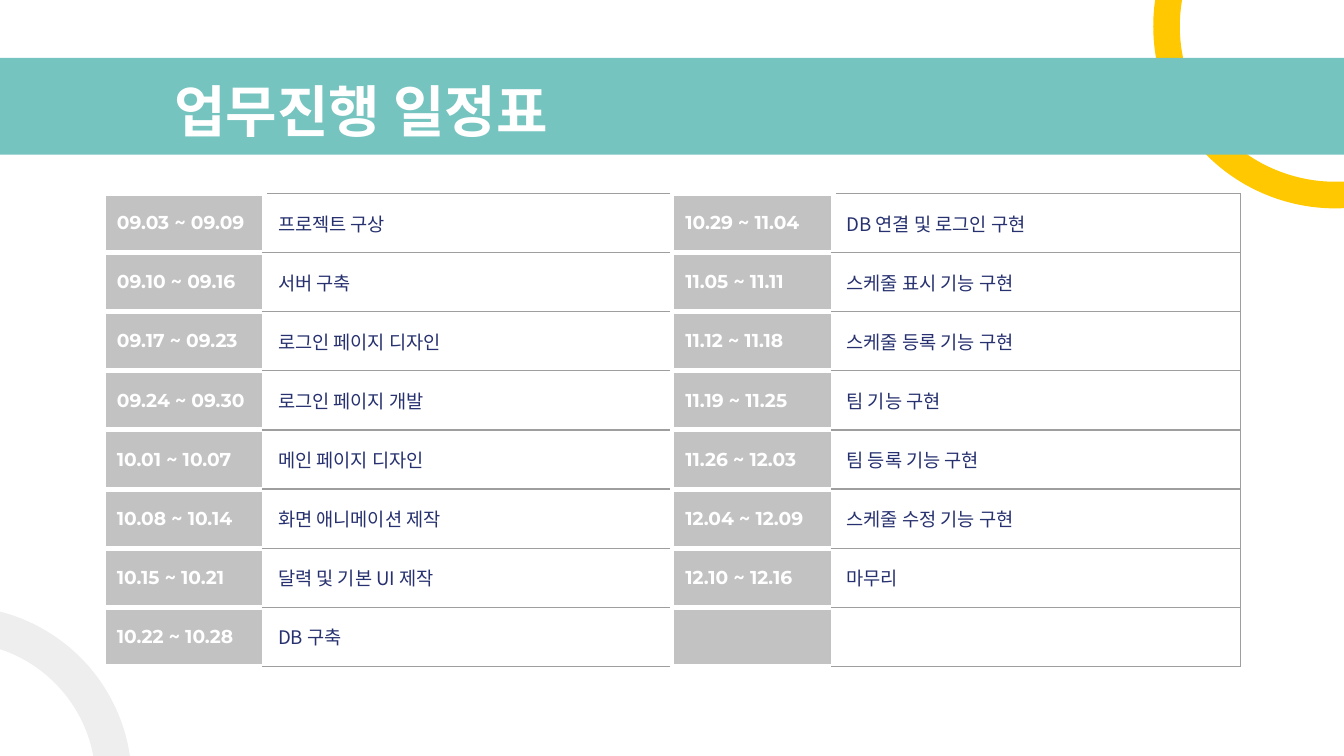
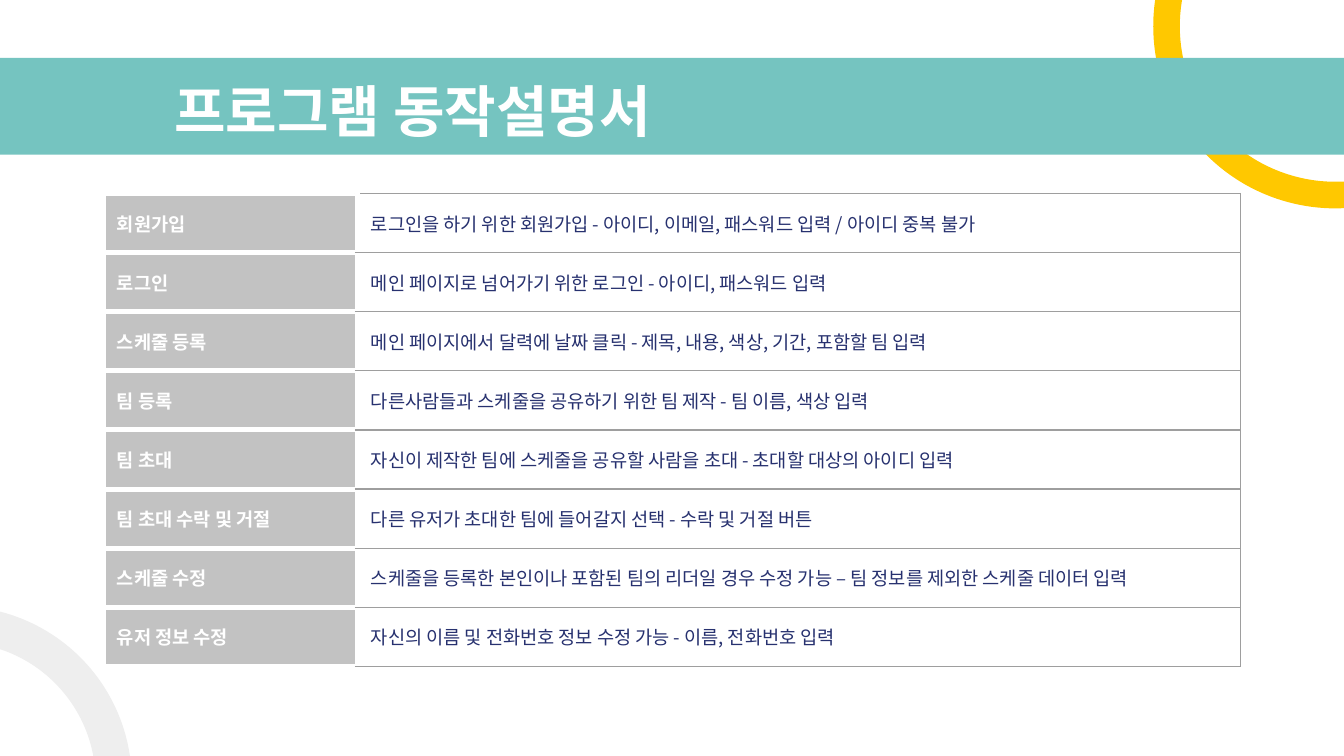
from dataclasses import dataclass

from lxml import etree
from pptx import Presentation
from pptx.dml.color import RGBColor
from pptx.enum.shapes import MSO_SHAPE
from pptx.enum.text import MSO_ANCHOR
from pptx.oxml.ns import qn
from pptx.slide import Slide
from pptx.table import _Cell
from pptx.text.text import _Paragraph
from pptx.util import Inches, Pt

BLOCK_ARC = MSO_SHAPE.BLOCK_ARC
RECTANGLE = MSO_SHAPE.RECTANGLE
TOP = MSO_ANCHOR.TOP
MIDDLE = MSO_ANCHOR.MIDDLE

COLORS = {
    "white": "FFFFFF",
    "yellow": "FFC800",
    "teal": "75C4C0",
    "pale": "EEEEEE",
    "label": "C2C2C2",
    "rule": "9E9E9E",
    "navy": "27316F",
}
KOREAN_FONT = "Noto Sans CJK KR"
DATE_FONT = "Montserrat"
SLIDE_WIDTH = Inches(10)
SLIDE_HEIGHT = SLIDE_WIDTH * 9 // 16
TABLE_TOP = 1.44
ROW_HEIGHT = 0.44
INSET = Inches(0.1)
CELL_SIZE = 10


@dataclass(frozen=True)
class Decoration:
    preset: MSO_SHAPE
    left: float
    top: float
    width: float
    height: float
    color: str
    rotation: float = 0
    adjustments: tuple[float, ...] = ()


@dataclass(frozen=True)
class TextStyle:
    font: str
    size: int
    color: str
    bold: bool = False


@dataclass(frozen=True)
class Border:
    color: str
    width: float


@dataclass(frozen=True)
class TableContent:
    left: float
    column_widths: tuple[float, float]
    label_font: str
    rows: tuple[tuple[str, str], ...]


@dataclass(frozen=True)
class SlideContent:
    title: str
    tables: tuple[TableContent, ...]


DECORATIONS = (
    Decoration(BLOCK_ARC, 8.58, -1.16, 2.71, 2.71, "yellow", 180, (159.041, 7.225, 0.073)),
    Decoration(RECTANGLE, -0.17, 0.43, 10.34, 0.72, "teal"),
    Decoration(BLOCK_ARC, -1.63, 4.51, 2.61, 2.61, "pale", 74.3, (125.821, 166.854, 0.103)),
)
TITLE_STYLE = TextStyle(KOREAN_FONT, 30, "white", True)
VALUE_STYLE = TextStyle(KOREAN_FONT, CELL_SIZE, "navy")
GAP = Border("white", 3)
RULE = Border("rule", 0.75)

SCHEDULE_COLUMNS = (1.2, 3.03)
SLIDES = (
    SlideContent("업무진행 일정표", (
        TableContent(0.77, SCHEDULE_COLUMNS, DATE_FONT, (
            ("09.03 ~ 09.09", "프로젝트 구상"),
            ("09.10 ~ 09.16", "서버 구축"),
            ("09.17 ~ 09.23", "로그인 페이지 디자인"),
            ("09.24 ~ 09.30", "로그인 페이지 개발"),
            ("10.01 ~ 10.07", "메인 페이지 디자인"),
            ("10.08 ~ 10.14", "화면 애니메이션 제작"),
            ("10.15 ~ 10.21", "달력 및 기본 UI 제작"),
            ("10.22 ~ 10.28", "DB 구축"),
        )),
        TableContent(5, SCHEDULE_COLUMNS, DATE_FONT, (
            ("10.29 ~ 11.04", "DB 연결 및 로그인 구현"),
            ("11.05 ~ 11.11", "스케줄 표시 기능 구현"),
            ("11.12 ~ 11.18", "스케줄 등록 기능 구현"),
            ("11.19 ~ 11.25", "팀 기능 구현"),
            ("11.26 ~ 12.03", "팀 등록 기능 구현"),
            ("12.04 ~ 12.09", "스케줄 수정 기능 구현"),
            ("12.10 ~ 12.16", "마무리"),
            ("", ""),
        )),
    )),
    SlideContent("프로그램 동작설명서", (
        TableContent(0.77, (1.89, 6.57), KOREAN_FONT, (
            ("회원가입", "로그인을 하기 위한 회원가입 - 아이디, 이메일, 패스워드 입력 / 아이디 중복 불가"),
            ("로그인", "메인 페이지로 넘어가기 위한 로그인 - 아이디, 패스워드 입력"),
            ("스케줄 등록", "메인 페이지에서 달력에 날짜 클릭 - 제목, 내용, 색상, 기간, 포함할 팀 입력"),
            ("팀 등록", "다른사람들과 스케줄을 공유하기 위한 팀 제작 - 팀 이름, 색상 입력"),
            ("팀 초대", "자신이 제작한 팀에 스케줄을 공유할 사람을 초대 - 초대할 대상의 아이디 입력"),
            ("팀 초대 수락 및 거절", "다른 유저가 초대한 팀에 들어갈지 선택 - 수락 및 거절 버튼"),
            ("스케줄 수정", "스케줄을 등록한 본인이나 포함된 팀의 리더일 경우 수정 가능 – "
                       "팀 정보를 제외한 스케줄 데이터 입력"),
            ("유저 정보 수정", "자신의 이름 및 전화번호 정보 수정 가능 - 이름, 전화번호 입력"),
        )),
    )),
)


def rgb(name: str) -> RGBColor:
    return RGBColor.from_string(COLORS[name])


def add_run(paragraph: _Paragraph, text: str, style: TextStyle) -> None:
    run = paragraph.add_run()
    run.text = text
    run.font.size = Pt(style.size)
    run.font.bold = style.bold
    run.font.color.rgb = rgb(style.color)
    run.font.name = style.font


def add_decoration(slide: Slide, decoration: Decoration) -> None:
    shape = slide.shapes.add_shape(
        decoration.preset,
        Inches(decoration.left), Inches(decoration.top),
        Inches(decoration.width), Inches(decoration.height),
    )
    shape.rotation = decoration.rotation
    for index, value in enumerate(decoration.adjustments):
        shape.adjustments[index] = value
    shape.shadow.inherit = False
    shape.fill.solid()
    shape.fill.fore_color.rgb = rgb(decoration.color)
    shape.line.fill.background()


def add_title(slide: Slide, title: str) -> None:
    box = slide.shapes.add_textbox(Inches(1.2), Inches(0.47), Inches(8.46), Inches(0.63))
    frame = box.text_frame
    frame.word_wrap = True
    frame.vertical_anchor = TOP
    frame.margin_left = frame.margin_right = INSET
    frame.margin_top = frame.margin_bottom = INSET
    add_run(frame.paragraphs[0], title, TITLE_STYLE)


def set_borders(cell: _Cell, left: Border, others: Border) -> None:
    properties = cell._tc.get_or_add_tcPr()
    for side, border in (("L", left), ("R", others), ("T", others), ("B", others)):
        line = etree.SubElement(properties, qn(f"a:ln{side}"), w=str(Pt(border.width)))
        fill = etree.SubElement(line, qn("a:solidFill"))
        etree.SubElement(fill, qn("a:srgbClr"), val=COLORS[border.color])


def fill_cell(cell: _Cell, text: str, style: TextStyle) -> None:
    cell.vertical_anchor = MIDDLE
    cell.margin_left = cell.margin_right = INSET
    cell.margin_top = cell.margin_bottom = INSET
    paragraph = cell.text_frame.paragraphs[0]
    if text:
        add_run(paragraph, text, style)
    else:
        # An empty cell needs its own text size, or its row grows.
        etree.SubElement(paragraph._p, qn("a:endParaRPr"), sz=str(style.size * 100))


def add_label_table(slide: Slide, content: TableContent) -> None:
    """Draw grey label cells on the left and ruled value cells on the right."""
    table = slide.shapes.add_table(
        len(content.rows), len(content.column_widths),
        Inches(content.left), Inches(TABLE_TOP),
        Inches(sum(content.column_widths)), Inches(ROW_HEIGHT * len(content.rows)),
    ).table
    table.first_row = False
    table.horz_banding = False
    for column, width in zip(table.columns, content.column_widths):
        column.width = Inches(width)
    label_style = TextStyle(content.label_font, CELL_SIZE, "white", True)
    for row, (label, value) in zip(table.rows, content.rows):
        row.height = Inches(ROW_HEIGHT)
        label_cell, value_cell = row.cells
        set_borders(label_cell, GAP, GAP)
        label_cell.fill.solid()
        label_cell.fill.fore_color.rgb = rgb("label")
        fill_cell(label_cell, label, label_style)
        set_borders(value_cell, GAP, RULE)
        value_cell.fill.background()
        fill_cell(value_cell, value, VALUE_STYLE)
        value_cell.text_frame.paragraphs[0].space_after = Pt(16)


def main() -> None:
    presentation = Presentation()
    presentation.slide_width = SLIDE_WIDTH
    presentation.slide_height = SLIDE_HEIGHT
    blank_layout = presentation.slide_layouts[6]
    for content in SLIDES:
        slide = presentation.slides.add_slide(blank_layout)
        for decoration in DECORATIONS:
            add_decoration(slide, decoration)
        add_title(slide, content.title)
        for table in content.tables:
            add_label_table(slide, table)
    presentation.save("out.pptx")


if __name__ == "__main__":
    main()
